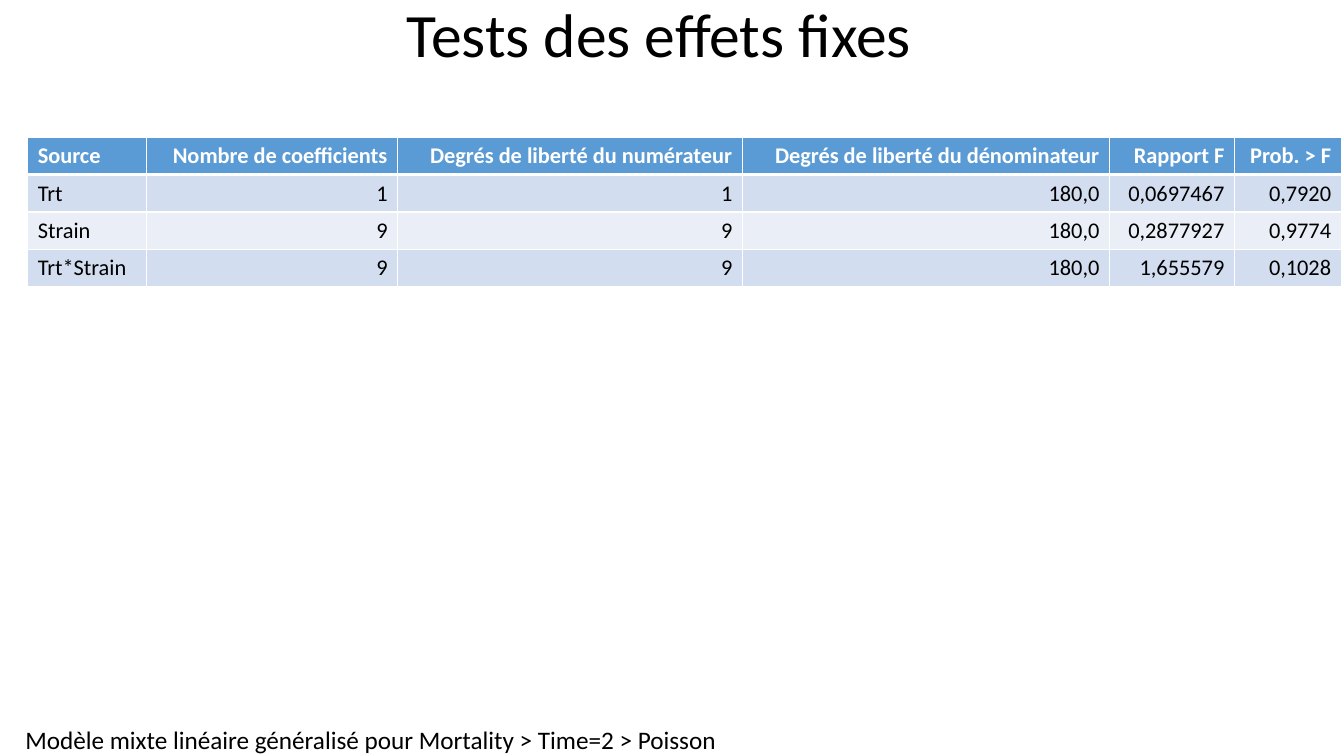
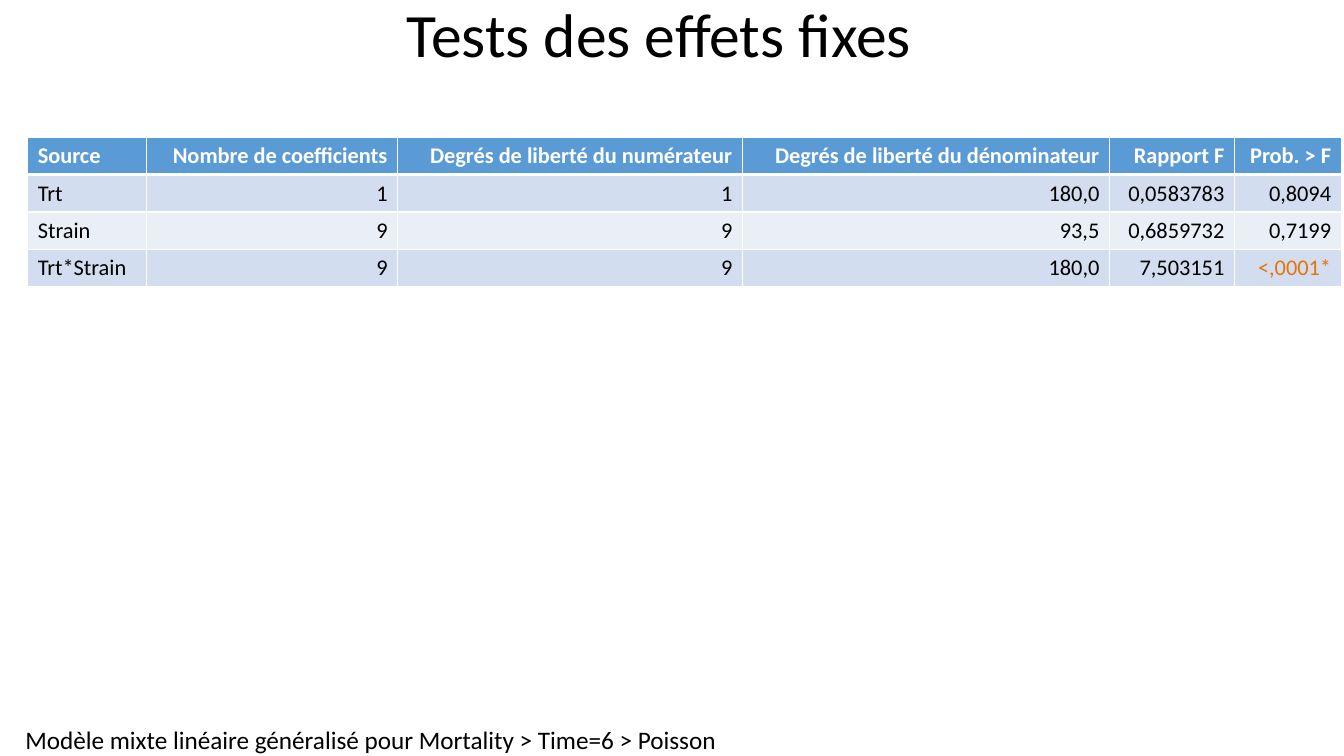
"""Build two slides of fixed-effect tests from a generalized linear mixed model."""
from dataclasses import dataclass

from lxml import etree
from pptx import Presentation
from pptx import util as u
from pptx.dml.color import RGBColor
from pptx.enum import text as t
from pptx.oxml.ns import qn

FONT = "Calibri"
COLORS = {
    "text": "000000",
    "white": "FFFFFF",
    "header": "5B9BD5",
    "band_dark": "D2DEEF",
    "band_light": "EAEFF7",
    "significant": "E57406",
}
TITLE = "Tests des effets fixes"
HEADERS = (
    "Source",
    "Nombre de coefficients",
    "Degrés de liberté du numérateur",
    "Degrés de liberté du dénominateur",
    "Rapport F",
    "Prob. > F",
)
COLUMN_WIDTHS = (3.0, 6.32, 8.69, 9.25, 3.15, 2.69)
ROW_HEIGHT = 0.94
THIN, THICK = 1, 3


@dataclass(frozen=True)
class EffectTest:
    """One row of the table of tests."""

    source: str
    coefficients: str
    numerator: str
    denominator: str
    ratio: str
    probability: str

    def values(self) -> tuple[str, ...]:
        """Return the row in column order."""
        return (self.source, self.coefficients, self.numerator,
                self.denominator, self.ratio, self.probability)


@dataclass(frozen=True)
class Analysis:
    """The model name and test results of one slide."""

    model: str
    tests: tuple[EffectTest, ...]


ANALYSES = (
    Analysis(
        "Modèle mixte linéaire généralisé pour Mortality > Time=2 > Poisson",
        (
            EffectTest("Trt", "1", "1", "180,0", "0,0697467", "0,7920"),
            EffectTest("Strain", "9", "9", "180,0", "0,2877927", "0,9774"),
            EffectTest("Trt*Strain", "9", "9", "180,0", "1,655579", "0,1028"),
        ),
    ),
    Analysis(
        "Modèle mixte linéaire généralisé pour Mortality > Time=6 > Poisson",
        (
            EffectTest("Trt", "1", "1", "180,0", "0,0583783", "0,8094"),
            EffectTest("Strain", "9", "9", "93,5", "0,6859732", "0,7199"),
            EffectTest("Trt*Strain", "9", "9", "180,0", "7,503151", "<,0001*"),
        ),
    ),
)


def write_text(frame, content: str, *, size: int, color: str = "text",
               bold: bool = False, align=t.PP_ALIGN.LEFT,
               line_spacing: float = 1.0) -> None:
    """Write one formatted paragraph into a text frame."""
    paragraph = frame.paragraphs[0]
    paragraph.alignment = align
    paragraph.line_spacing = line_spacing
    run = paragraph.add_run()
    run.text = content
    run.font.name = FONT
    run.font.size = u.Pt(size)
    run.font.bold = bold
    run.font.color.rgb = RGBColor.from_string(COLORS[color])


def add_title(slide) -> None:
    """Add the shared slide title."""
    shape = slide.shapes.add_textbox(0, 0, u.Cm(33.22), u.Cm(1.9))
    frame = shape.text_frame
    frame.word_wrap = True
    frame.vertical_anchor = t.MSO_ANCHOR.MIDDLE
    write_text(frame, TITLE, size=44, align=t.PP_ALIGN.CENTER, line_spacing=0.9)


def add_model_name(slide, model: str) -> None:
    """Add the model name at the foot of the slide."""
    shape = slide.shapes.add_textbox(u.Cm(0.64), u.Cm(18.26), u.Cm(17.48), u.Cm(0.79))
    frame = shape.text_frame
    frame.margin_left = frame.margin_top = frame.margin_right = frame.margin_bottom = 0
    frame.word_wrap = False
    frame.auto_size = t.MSO_AUTO_SIZE.SHAPE_TO_FIT_TEXT
    write_text(frame, model, size=18)


def set_borders(cell, top: int, bottom: int) -> None:
    """Draw white borders of the given widths in points around a cell."""
    properties = cell._tc.get_or_add_tcPr()
    for side, width in (("L", THIN), ("R", THIN), ("T", top), ("B", bottom)):
        line = etree.SubElement(properties, qn(f"a:ln{side}"), w=str(u.Pt(width)))
        fill = etree.SubElement(line, qn("a:solidFill"))
        etree.SubElement(fill, qn("a:srgbClr"), val=COLORS["white"])


def add_tests_table(slide, tests: tuple[EffectTest, ...]) -> None:
    """Add the banded table of fixed-effect tests."""
    rows = (HEADERS, *(test.values() for test in tests))
    table = slide.shapes.add_table(
        len(rows), len(HEADERS), u.Cm(0.7), u.Cm(3.46),
        u.Cm(sum(COLUMN_WIDTHS)), u.Cm(ROW_HEIGHT * len(rows)),
    ).table
    for column, width in zip(table.columns, COLUMN_WIDTHS):
        column.width = u.Cm(width)
    for row_index, values in enumerate(rows):
        table.rows[row_index].height = u.Cm(ROW_HEIGHT)
        is_header = row_index == 0
        band = "header" if is_header else "band_dark" if row_index % 2 else "band_light"
        for column_index, value in enumerate(values):
            cell = table.cell(row_index, column_index)
            set_borders(cell, top=THICK if row_index == 1 else THIN,
                        bottom=THICK if is_header else THIN)
            cell.fill.solid()
            cell.fill.fore_color.rgb = RGBColor.from_string(COLORS[band])
            color = ("white" if is_header
                     else "significant" if value.endswith("*") else "text")
            write_text(cell.text_frame, value, size=16, color=color, bold=is_header,
                       align=t.PP_ALIGN.RIGHT if column_index else t.PP_ALIGN.LEFT)


def main() -> None:
    """Build and save the presentation."""
    presentation = Presentation()
    presentation.slide_width = u.Cm(33.87)
    presentation.slide_height = u.Cm(19.05)
    for analysis in ANALYSES:
        slide = presentation.slides.add_slide(presentation.slide_layouts[6])
        add_model_name(slide, analysis.model)
        add_title(slide)
        add_tests_table(slide, analysis.tests)
    presentation.save("out.pptx")


if __name__ == "__main__":
    main()
